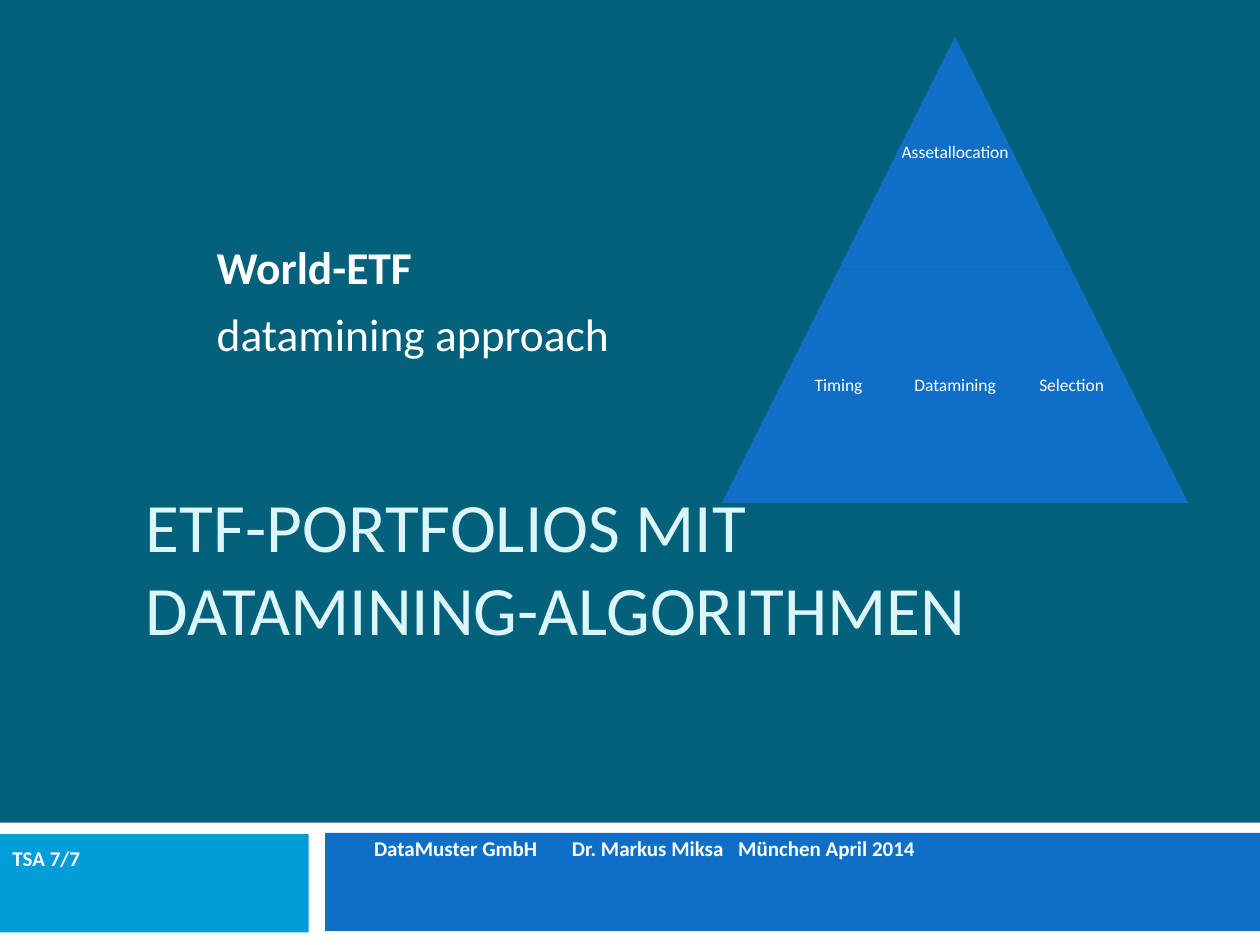
from lxml.etree import SubElement
from pptx import Presentation
from pptx.dml.color import RGBColor
from pptx.enum.shapes import MSO_SHAPE
from pptx.enum.text import MSO_ANCHOR, PP_ALIGN
from pptx.oxml.ns import qn
from pptx.util import Inches, Pt

TEAL = RGBColor(0x04, 0x61, 0x7B)
CYAN = RGBColor(0x00, 0x9D, 0xD9)
BLUE = RGBColor(0x0F, 0x6F, 0xC6)
PALE = RGBColor(0xDB, 0xF5, 0xF9)
WHITE = RGBColor(0xFF, 0xFF, 0xFF)
FONT = "Calibri"

TITLE = "ETF-PORTFOLIOS MIT DATAMINING-ALGORITHMEN"
SUBTITLE = [("World-ETF", True), ("datamining approach", False)]
FOOTER = ["DataMuster GmbH", "Dr. Markus Miksa", "München April 2014"]
FOOTER_TABS = [1.57, 2.89]
PAGE_LABEL = "TSA 7/7"

# left, top, width, height, colour
BANDS = [
    (0, 6.53, 10, 0.97, WHITE),
    (-0.01, 6.62, 2.46, 0.78, CYAN),
    (2.58, 6.61, 7.42, 0.78, BLUE),
]

# label, column in half triangles, row, rotation
TRIANGLES = [
    ("Assetallocation", 1, 0, 0),
    ("Timing", 0, 1, 0),
    ("Datamining", 1, 1, 180),
    ("Selection", 2, 1, 0),
]
PYRAMID_LEFT, PYRAMID_TOP, TRIANGLE_SIZE = 5.73, 0.29, 1.85


def add_filled(shapes, kind, box, color, rotation=0):
    shape = shapes.add_shape(kind, *map(Inches, box))
    shape.shadow.inherit = False
    shape.fill.solid()
    shape.fill.fore_color.rgb = color
    shape.line.fill.background()
    shape.rotation = rotation


def add_text(shapes, lines, box, size, color=WHITE, align=PP_ALIGN.LEFT,
             anchor=MSO_ANCHOR.TOP, margins=(0.1, 0.05, 0.1, 0.05),
             before=0, spacing=1.0):
    """Add a text box with one paragraph per (text, bold) pair; return its frame."""
    frame = shapes.add_textbox(*map(Inches, box)).text_frame
    frame.word_wrap = True
    frame.vertical_anchor = anchor
    (frame.margin_left, frame.margin_top,
     frame.margin_right, frame.margin_bottom) = map(Inches, margins)
    for index, (text, bold) in enumerate(lines):
        paragraph = frame.add_paragraph() if index else frame.paragraphs[0]
        paragraph.alignment = align
        paragraph.space_before = Pt(before)
        paragraph.line_spacing = spacing
        run = paragraph.add_run()
        run.text = text
        run.font.name = FONT
        run.font.size = Pt(size)
        run.font.bold = bold
        run.font.color.rgb = color
    return frame


def add_tab_stops(paragraph, positions):
    tab_list = SubElement(paragraph._p.get_or_add_pPr(), qn("a:tabLst"))
    for position in positions:
        SubElement(tab_list, qn("a:tab"), pos=str(Inches(position)), algn="l")


def add_pyramid(slide):
    group = slide.shapes.add_group_shape()
    for label, column, row, rotation in TRIANGLES:
        box = (PYRAMID_LEFT + column * TRIANGLE_SIZE / 2,
               PYRAMID_TOP + row * TRIANGLE_SIZE,
               TRIANGLE_SIZE, TRIANGLE_SIZE)
        add_filled(group.shapes, MSO_SHAPE.ISOSCELES_TRIANGLE, box, BLUE, rotation)
        add_text(group.shapes, [(label, False)], box, 10, align=PP_ALIGN.CENTER,
                 anchor=MSO_ANCHOR.MIDDLE, margins=(0.04,) * 4, spacing=0.9)


def main():
    presentation = Presentation()
    presentation.slide_width = Inches(10)
    presentation.slide_height = Inches(7.5)
    slide = presentation.slides.add_slide(presentation.slide_layouts[6])
    slide.background.fill.solid()
    slide.background.fill.fore_color.rgb = TEAL

    for *box, color in BANDS:
        add_filled(slide.shapes, MSO_SHAPE.RECTANGLE, box, color)

    add_text(slide.shapes, SUBTITLE, (1.54, 1.47, 7, 1.82), 26,
             anchor=MSO_ANCHOR.MIDDLE, margins=(0.18, 0.05, 0.1, 0.05), before=7)
    footer = add_text(slide.shapes, [("\t".join(FOOTER), True)],
                      (2.87, 6.58, 5.58, 0.63), 12)
    add_tab_stops(footer.paragraphs[0], FOOTER_TABS)
    add_text(slide.shapes, [(PAGE_LABEL, True)], (0, 6.66, 1.25, 0.46), 12)
    add_text(slide.shapes, [(TITLE, False)], (1.06, 3.75, 8.13, 1.45), 39.6,
             color=PALE, anchor=MSO_ANCHOR.BOTTOM)
    add_pyramid(slide)

    presentation.save("out.pptx")


if __name__ == "__main__":
    main()
